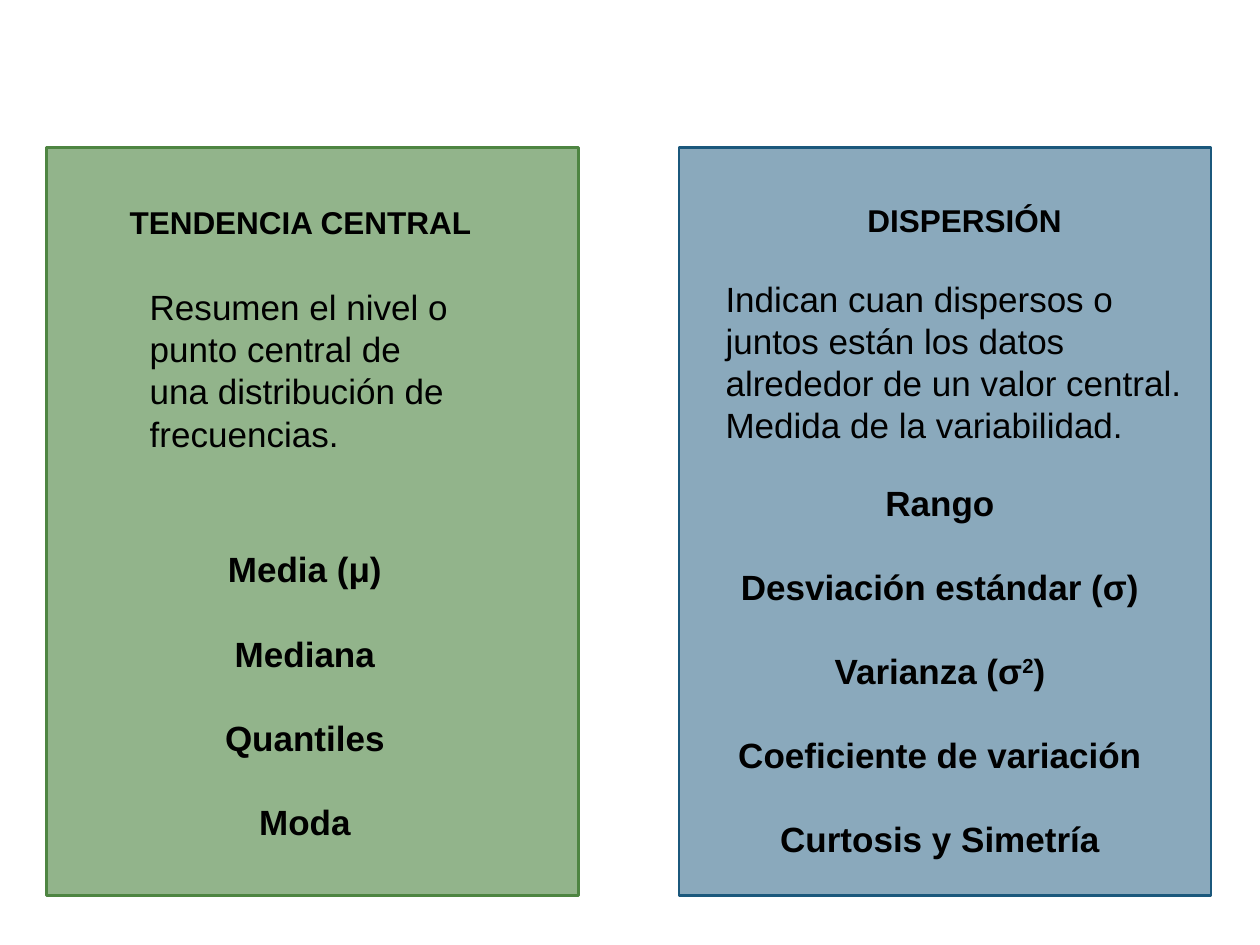
from lxml import etree
from pptx import Presentation
from pptx import util as u
from pptx.dml.color import RGBColor
from pptx.enum import shapes, text
from pptx.oxml import ns

PANEL_TOP, PANEL_WIDTH, PANEL_HEIGHT = 1.17, 4.22, 5.94
LEFT_PANEL, RIGHT_PANEL = 0.37, 5.39
LINE_GAP = 24
CENTER, LEFT = text.PP_ALIGN.CENTER, text.PP_ALIGN.LEFT


def color(value):
    return RGBColor.from_string(value)


def add_panel(slide, left, hue, opacity):
    """Add a translucent rectangle; opacity is a percentage."""
    panel = slide.shapes.add_shape(
        shapes.MSO_SHAPE.RECTANGLE,
        *map(u.Inches, (left, PANEL_TOP, PANEL_WIDTH, PANEL_HEIGHT)))
    panel.shadow.inherit = False
    panel.fill.solid()
    panel.fill.fore_color.rgb = color(hue)
    fill_color = panel.fill._xPr.find(".//" + ns.qn("a:srgbClr"))
    etree.SubElement(fill_color, ns.qn("a:alpha"), val=str(opacity * 1000))
    panel.line.color.rgb = color(hue)
    panel.line.width = u.Pt(1.5)


def add_text(slide, box, lines, size=20, bold=True, align=CENTER):
    """Write one paragraph per line; a part after ^ is one raised character."""
    shape = slide.shapes.add_textbox(*map(u.Inches, box))
    frame = shape.text_frame
    frame.word_wrap = True
    for index, line in enumerate(lines):
        paragraph = frame.add_paragraph() if index else frame.paragraphs[0]
        paragraph.alignment = align
        paragraph.space_before = u.Pt(LINE_GAP if index else 0)
        font = paragraph.font
        font.name, font.size, font.bold = "Arial", u.Pt(size), bold
        font.color.rgb = color("000000")
        base, _, raised = line.partition("^")
        paragraph.add_run().text = base
        if raised:
            exponent = paragraph.add_run()
            exponent.text = raised[0]
            exponent._r.get_or_add_rPr().set("baseline", "30000")
            paragraph.add_run().text = raised[1:]


def add_title(slide, left, top, title):
    add_text(slide, (left, top, 3.13, 0.4), [title], size=18)


def add_description(slide, left, top, width, description):
    add_text(slide, (left, top, width, 1.45), [description], bold=False, align=LEFT)


def main():
    presentation = Presentation()
    presentation.slide_width, presentation.slide_height = u.Inches(10), u.Inches(7.5)
    slide = presentation.slides.add_slide(presentation.slide_layouts[6])

    add_panel(slide, LEFT_PANEL, "4E8542", 61)
    add_title(slide, 0.82, 1.56, "TENDENCIA CENTRAL")
    add_description(slide, 1.09, 2.22, 2.66,
                    "Resumen el nivel o punto central de una distribución de frecuencias.")
    add_text(slide, (1.09, 4.3, 2.66, 2.46),
             ["Media (μ)", "Mediana", "Quantiles", "Moda"])

    add_panel(slide, RIGHT_PANEL, "1B587C", 51)
    add_title(slide, 6.09, 1.55, "DISPERSIÓN")
    add_description(slide, 5.66, 2.15, 3.91,
                    "Indican cuan dispersos o juntos están los datos alrededor "
                    "de un valor central. Medida de la variabilidad.")
    add_text(slide, (5.7, 3.77, 3.52, 3.47),
             ["Rango", "Desviación estándar (σ)", "Varianza (σ^2)",
              "Coeficiente de variación", "Curtosis y Simetría"])

    presentation.save("out.pptx")


if __name__ == "__main__":
    main()
